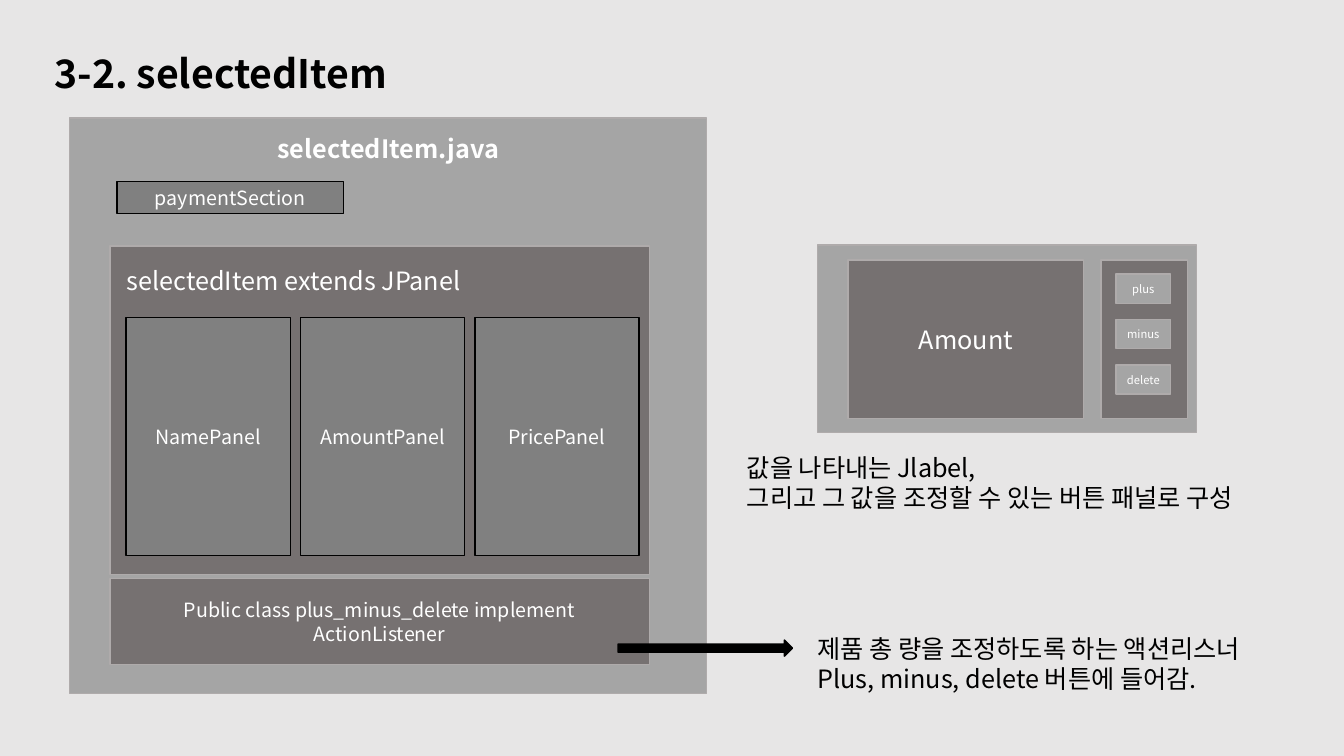
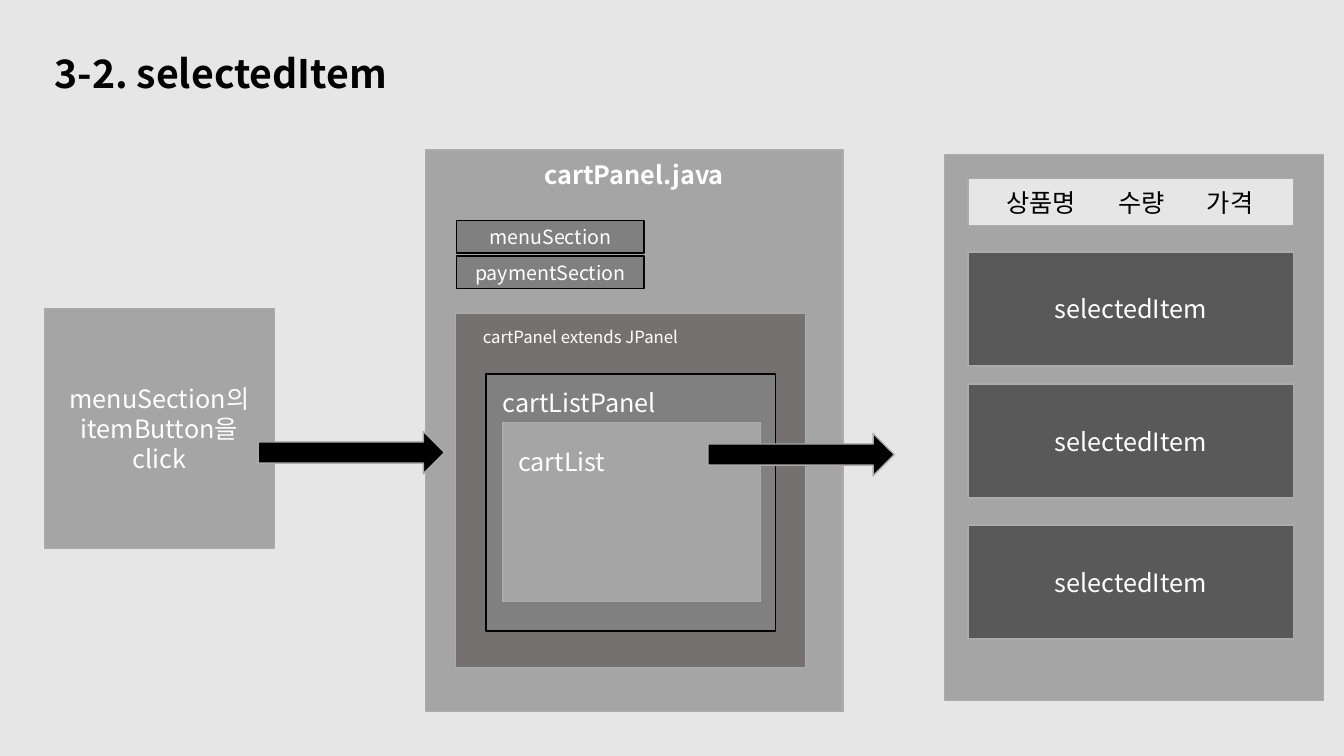
from lxml import etree
from pptx import Presentation
from pptx.dml.color import RGBColor
from pptx.enum.shapes import MSO_SHAPE
from pptx.enum.text import MSO_ANCHOR, MSO_AUTO_SIZE, PP_ALIGN
from pptx.oxml.ns import qn
from pptx.util import Inches, Pt

RECT, ARROW = MSO_SHAPE.RECTANGLE, MSO_SHAPE.RIGHT_ARROW
TOP, MIDDLE = MSO_ANCHOR.TOP, MSO_ANCHOR.MIDDLE
LEFT, CENTER = PP_ALIGN.LEFT, PP_ALIGN.CENTER

FONT = "Noto Sans CJK KR"
BLACK = RGBColor(0x00, 0x00, 0x00)
WHITE = RGBColor(0xFF, 0xFF, 0xFF)
PAPER = RGBColor(0xE7, 0xE6, 0xE6)
EDGE = RGBColor(0xAF, 0xAB, 0xAB)
LIGHT = RGBColor(0xA5, 0xA5, 0xA5)
GRAY = RGBColor(0x80, 0x80, 0x80)
WARM = RGBColor(0x76, 0x71, 0x71)
DARK = RGBColor(0x59, 0x59, 0x59)

TITLE_ONLY = 5


# Shared text and shape helpers
def write(tf, text, size=18, color=WHITE, bold=False, align=LEFT, anchor=TOP, tabs=()):
    """Fill a text frame, one paragraph per line of text."""
    tf.word_wrap = True
    tf.auto_size = MSO_AUTO_SIZE.NONE
    tf.vertical_anchor = anchor
    for i, line in enumerate(text.split("\n")):
        p = tf.paragraphs[0] if i == 0 else tf.add_paragraph()
        p.alignment = align
        if tabs:
            tab_list = etree.SubElement(p._p.get_or_add_pPr(), qn("a:tabLst"))
            for pos in tabs:
                etree.SubElement(tab_list, qn("a:tab"), pos=str(Inches(pos)), algn="l")
        r = p.add_run()
        r.text = line
        r.font.size, r.font.bold, r.font.name = Pt(size), bold, FONT
        r.font.color.rgb = color
        etree.SubElement(r._r.get_or_add_rPr(), qn("a:ea"), typeface=FONT)


def add_box(slide, x, y, w, h, fill, text="", line=EDGE, shape=RECT, **fmt):
    sp = slide.shapes.add_shape(shape, Inches(x), Inches(y), Inches(w), Inches(h))
    sp.shadow.inherit = False
    sp.fill.solid()
    sp.fill.fore_color.rgb = fill
    sp.line.color.rgb = line
    sp.line.width = Pt(1)
    if text:
        write(sp.text_frame, text, **{"align": CENTER, "anchor": MIDDLE, **fmt})
    return sp


def add_member(slide, x, y, w, h, text=""):
    """Black-edged box for a class member."""
    add_box(slide, x, y, w, h, GRAY, text, line=BLACK, size=14)


def add_file_panel(slide, x, y, w, h, text, inset):
    """Large panel headed by a file name."""
    sp = add_box(slide, x, y, w, h, LIGHT, text, bold=True, anchor=TOP)
    sp.text_frame.margin_top = Inches(inset)


def add_label(slide, x, y, w, h, text, **fmt):
    sp = slide.shapes.add_textbox(Inches(x), Inches(y), Inches(w), Inches(h))
    write(sp.text_frame, text, **fmt)


def add_arrow(slide, x, y, w, h, line=EDGE):
    add_box(slide, x, y, w, h, BLACK, line=line, shape=ARROW)


# Shared template
def set_up_template(prs):
    prs.slide_width, prs.slide_height = Inches(13.33), Inches(7.5)
    bg = prs.slide_master.background.fill
    bg.solid()
    bg.fore_color.rgb = PAPER
    title = prs.slide_layouts[TITLE_ONLY].placeholders[0]
    title.left, title.top = Inches(0.44), Inches(0.44)
    title.width, title.height = Inches(6.47), Inches(0.57)


def add_slide(prs, title):
    slide = prs.slides.add_slide(prs.slide_layouts[TITLE_ONLY])
    write(slide.shapes.title.text_frame, title, size=28, color=BLACK, bold=True, anchor=MIDDLE)
    return slide


# Slides
def build_item_slide(prs):
    slide = add_slide(prs, "3-2. selectedItem")

    # Class structure
    add_file_panel(slide, 0.69, 1.17, 6.32, 5.71, "selectedItem.java", 0.15)
    add_member(slide, 1.16, 1.8, 2.25, 0.32, "paymentSection")
    add_box(slide, 1.09, 2.44, 5.35, 3.26, WARM)
    add_label(slide, 1.16, 2.58, 4.98, 0.39, "selectedItem extends JPanel")
    for i, name in enumerate(("NamePanel", "AmountPanel", "PricePanel")):
        add_member(slide, 1.25 + 1.73 * i, 3.15, 1.63, 2.36, name)
    add_box(slide, 1.09, 5.74, 5.35, 0.85, WARM,
            "Public class plus_minus_delete implement ActionListener", size=14)

    # Amount panel with its buttons
    add_box(slide, 8.11, 2.43, 3.76, 1.86, LIGHT)
    add_box(slide, 10.92, 2.58, 0.86, 1.57, WARM)
    for i, name in enumerate(("plus", "minus", "delete")):
        add_box(slide, 11.07, 2.72 + 0.45 * i, 0.54, 0.29, LIGHT, name, size=8)
    add_box(slide, 8.41, 2.58, 2.34, 1.57, WARM, "Amount")

    # Explanations
    add_label(slide, 7.31, 4.44, 5.71, 0.71,
              "값을 나타내는 Jlabel,\n그리고 그 값을 조정할 수 있는 버튼 패널로 구성", color=BLACK)
    add_arrow(slide, 6.13, 6.35, 1.73, 0.16, line=BLACK)
    add_label(slide, 8.01, 6.23, 4.94, 0.71,
              "제품 총 량을 조정하도록 하는 액션리스너\nPlus, minus, delete 버튼에 들어감.", color=BLACK)


def build_cart_slide(prs):
    slide = add_slide(prs, "3-2. selectedItem")

    # Class structure
    add_file_panel(slide, 4.22, 1.49, 4.14, 5.57, "cartPanel.java", 0.09)
    for i, name in enumerate(("menuSection", "paymentSection")):
        add_member(slide, 4.53, 2.19 + 0.35 * i, 1.86, 0.32, name)
    add_box(slide, 4.52, 3.11, 3.47, 3.51, WARM)
    add_label(slide, 4.69, 3.19, 2.91, 0.25, "cartPanel extends JPanel", size=12)
    add_member(slide, 4.82, 3.71, 2.87, 2.55)
    add_label(slide, 4.89, 3.79, 2.52, 0.33, "cartListPanel")
    add_box(slide, 4.99, 4.19, 2.55, 1.78, LIGHT)
    add_label(slide, 5.04, 4.38, 2.2, 0.82, "cartList")
    add_arrow(slide, 7.02, 4.3, 1.85, 0.42)

    # Resulting list
    add_box(slide, 9.37, 1.53, 3.76, 5.42, LIGHT)
    for y in (2.5, 3.81, 5.21):
        add_box(slide, 9.6, y, 3.23, 1.13, DARK, "selectedItem")
    header = add_box(slide, 9.6, 1.77, 3.23, 0.47, PAPER, "상품명\t수량\t가격",
                     color=BLACK, align=LEFT, tabs=(1.11, 1.99))
    header.text_frame.margin_left = Inches(0.38)

    # Trigger
    add_box(slide, 0.44, 3.06, 2.28, 2.38, LIGHT, "menuSection의itemButton을\nclick")
    add_arrow(slide, 2.56, 4.28, 1.85, 0.42)


def main():
    prs = Presentation()
    set_up_template(prs)
    build_item_slide(prs)
    build_cart_slide(prs)
    prs.save("out.pptx")


if __name__ == "__main__":
    main()
